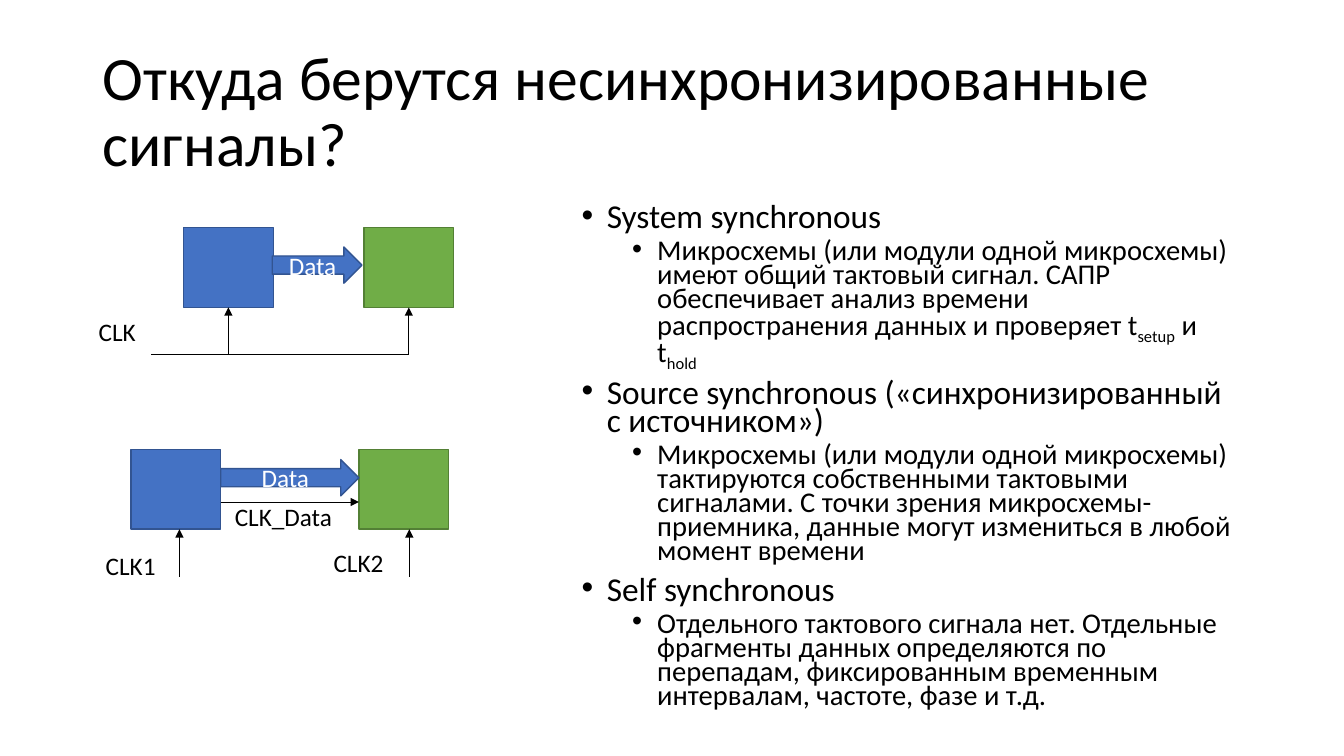
from lxml import etree
from pptx import Presentation
from pptx import util as u
from pptx.dml.color import RGBColor
from pptx.enum import shapes, text
from pptx.oxml import ns

BLACK = RGBColor(0x00, 0x00, 0x00)
WHITE = RGBColor(0xFF, 0xFF, 0xFF)
BLUE = RGBColor(0x44, 0x72, 0xC4)
BLUE_EDGE = RGBColor(0x32, 0x54, 0x91)
GREEN = RGBColor(0x70, 0xAD, 0x47)
GREEN_EDGE = RGBColor(0x53, 0x80, 0x35)
FONT = "Calibri"
BOX_W, BOX_H, ARROW_H = 0.89, 0.79, 0.36

SCHEMES = [
    ("System synchronous",
     ["Микросхемы (или модули одной микросхемы) имеют общий тактовый сигнал. "
      "САПР обеспечивает анализ времени распространения данных и проверяет t",
      "setup", " и t", "hold"]),
    ("Source synchronous («синхронизированный с источником»)",
     ["Микросхемы (или модули одной микросхемы) тактируются собственными "
      "тактовыми сигналами. С точки зрения микросхемы-приемника, данные могут "
      "измениться в любой момент времени"]),
    ("Self synchronous",
     ["Отдельного тактового сигнала нет. Отдельные фрагменты данных "
      "определяются по перепадам, фиксированным временным интервалам, "
      "частоте, фазе и т.д."]),
]


def add_run(p, content, size=18, color=BLACK, subscript=False):
    r = p.add_run()
    r.text = content
    r.font.name = FONT
    r.font.size = u.Pt(size)
    r.font.color.rgb = color
    if subscript:
        r.font._element.set("baseline", "-25000")


def add_text(s, content, left, top, width, height, size=18, wrap=False,
             anchor=text.MSO_ANCHOR.TOP, spacing=None):
    sp = s.shapes.add_textbox(*map(u.Inches, (left, top, width, height)))
    tf = sp.text_frame
    tf.word_wrap = wrap
    tf.vertical_anchor = anchor
    p = tf.paragraphs[0]
    p.line_spacing = spacing
    add_run(p, content, size)


def add_bullet(p, parts, level, size, before):
    p.level = level
    pPr = p._p.get_or_add_pPr()
    pPr.set("marL", str(u.Inches(0.25 + 0.5 * level)))
    pPr.set("indent", str(u.Inches(-0.25)))
    etree.SubElement(pPr, ns.qn("a:buFont")).set("typeface", "Arial")
    etree.SubElement(pPr, ns.qn("a:buChar")).set("char", "•")
    p.line_spacing = 0.7
    p.space_before = u.Pt(before)
    for i, part in enumerate(parts):
        add_run(p, part, size, subscript=i % 2 == 1)


def add_schemes(s):
    sp = s.shapes.add_textbox(*map(u.Inches, (5.67, 2, 6.72, 4.76)))
    tf = sp.text_frame
    tf.word_wrap = True
    for i, (name, details) in enumerate(SCHEMES):
        p = tf.add_paragraph() if i else tf.paragraphs[0]
        add_bullet(p, [name], 0, 23.8, 10 if i else 0)
        add_bullet(tf.add_paragraph(), details, 1, 20.4, 5)


def add_block(s, kind, left, top, width, height, fill, edge):
    sp = s.shapes.add_shape(kind, *map(u.Inches, (left, top, width, height)))
    sp.shadow.inherit = False
    sp.fill.solid()
    sp.fill.fore_color.rgb = fill
    sp.line.color.rgb = edge
    sp.line.width = u.Pt(1)
    return sp


def add_chips(s, source_left, receiver_left, top):
    return [add_block(s, shapes.MSO_SHAPE.RECTANGLE, left, top, BOX_W, BOX_H, fill, edge)
            for left, fill, edge in ((source_left, BLUE, BLUE_EDGE),
                                     (receiver_left, GREEN, GREEN_EDGE))]


def add_data_arrow(s, left, top, width):
    sp = add_block(s, shapes.MSO_SHAPE.RIGHT_ARROW, left, top, width, ARROW_H,
                   BLUE, BLUE_EDGE)
    tf = sp.text_frame
    tf.vertical_anchor = text.MSO_ANCHOR.MIDDLE
    p = tf.paragraphs[0]
    p.alignment = text.PP_ALIGN.CENTER
    add_run(p, "Data", color=WHITE)


def add_wire(s, x1, y1, x2, y2, arrow=True, chip=None):
    c = s.shapes.add_connector(shapes.MSO_CONNECTOR.STRAIGHT,
                               *map(u.Inches, (x1, y1, x2, y2)))
    if chip is not None:
        c.end_connect(chip, 2)
    c.line.color.rgb = BLACK
    c.line.width = u.Pt(0.5)
    if arrow:
        ln = c.line._get_or_add_ln()
        etree.SubElement(ln, ns.qn("a:tailEnd")).set("type", "triangle")
    etree.SubElement(c._element.spPr, ns.qn("a:effectLst"))


def add_system_synchronous(s):
    left, right, top, bus = 1.82, 3.61, 2.26, 3.52
    for x, chip in zip((left, right), add_chips(s, left, right, top)):
        mid = x + BOX_W / 2
        add_wire(s, mid, bus, mid, top + BOX_H, chip=chip)
    add_wire(s, right + BOX_W / 2, bus, 1.5, bus, arrow=False)
    add_text(s, "CLK", 0.88, 3.09, 0.67, 0.4)
    add_data_arrow(s, 2.7, 2.45, BOX_W)


def add_source_synchronous(s):
    left, right, top = 1.3, 3.56, 4.46
    add_chips(s, left, right, top)
    for x in (1.78, 4.06):
        add_wire(s, x, 5.72, x, top + BOX_H)
    add_wire(s, left + BOX_W, 4.98, right, 4.98)
    add_text(s, "CLK1", 0.95, 5.41, 0.79, 0.4)
    add_text(s, "CLK2", 3.21, 5.38, 0.79, 0.4)
    add_text(s, "CLK_Data", 2.23, 4.92, 1.19, 0.4)
    add_data_arrow(s, left + BOX_W, 4.56, right - left - BOX_W)


def main():
    prs = Presentation()
    prs.slide_width, prs.slide_height = u.Inches(13.33), u.Inches(7.5)
    s = prs.slides.add_slide(prs.slide_layouts[6])
    add_text(s, "Откуда берутся несинхронизированные сигналы?", 0.92, 0.4, 11.5, 1.45,
             size=44, wrap=True, anchor=text.MSO_ANCHOR.MIDDLE, spacing=0.9)
    add_schemes(s)
    add_system_synchronous(s)
    add_source_synchronous(s)
    prs.save("out.pptx")


if __name__ == "__main__":
    main()
